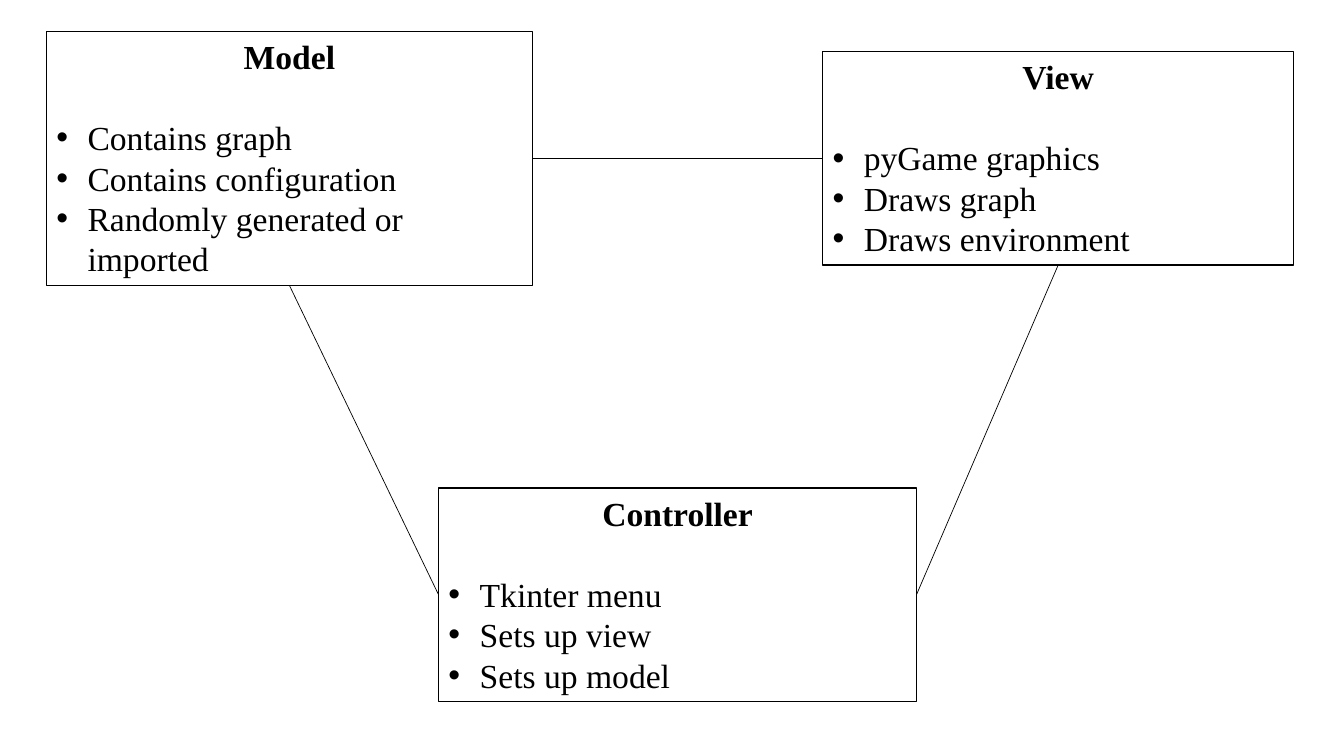
"""Draw the model, view and controller boxes and the lines that join them."""
from lxml.etree import SubElement
from pptx import Presentation
from pptx.dml.color import RGBColor
from pptx.enum.shapes import MSO_CONNECTOR as Link, MSO_SHAPE as Shape
from pptx.enum.text import MSO_ANCHOR as Anchor, PP_ALIGN as Align
from pptx.oxml.ns import qn
from pptx.util import Inches, Pt

BLACK = RGBColor(0, 0, 0)
FONT = {"name": "Times New Roman", "size": Pt(24)}
FRAME = {
    "word_wrap": True,
    "vertical_anchor": Anchor.TOP,
    "margin_left": Inches(0.1),
    "margin_right": Inches(0.1),
    "margin_top": Inches(0.05),
    "margin_bottom": Inches(0.05),
}
INDENT = Inches(0.31)
BOXES = [
    ("Model", (0.46, 0.31, 4.82, 2.52),
     ["Contains graph", "Contains configuration", "Randomly generated or imported"]),
    ("View", (8.16, 0.51, 4.67, 2.12),
     ["pyGame graphics", "Draws graph", "Draws environment"]),
    ("Controller", (4.35, 4.84, 4.74, 2.12),
     ["Tkinter menu", "Sets up view", "Sets up model"]),
]
TOP, LEFT, BOTTOM, RIGHT = range(4)
LINKS = [
    ("Model", RIGHT, "View", LEFT),
    ("Model", BOTTOM, "Controller", LEFT),
    ("Controller", RIGHT, "View", BOTTOM),
]


def style(font, bold):
    for key, value in FONT.items():
        setattr(font, key, value)
    font.bold = bold
    font.color.rgb = BLACK


deck = Presentation()
deck.slide_width = Inches(13.33)
deck.slide_height = Inches(7.5)
slide = deck.slides.add_slide(deck.slide_layouts[6])

boxes = {}
for title, place, items in BOXES:
    box = slide.shapes.add_shape(Shape.RECTANGLE, *map(Inches, place))
    boxes[title] = box
    box.shadow.inherit = False
    box.fill.background()
    box.line.color.rgb = BLACK
    box.line.width = Pt(1)

    frame = box.text_frame
    for key, value in FRAME.items():
        setattr(frame, key, value)
    head = frame.paragraphs[0]
    head.text = title
    head.alignment = Align.CENTER
    head.space_after = Pt(29)
    style(head.runs[0].font, True)

    for item in items:
        para = frame.add_paragraph()
        para.text = item
        para.alignment = Align.LEFT
        style(para.runs[0].font, False)
        props = para._p.get_or_add_pPr()
        props.set("marL", str(INDENT))
        props.set("indent", str(-INDENT))
        SubElement(props, qn("a:buFont")).set("typeface", "Arial")
        SubElement(props, qn("a:buChar")).set("char", "•")

for start, side, end, edge in LINKS:
    line = slide.shapes.add_connector(Link.STRAIGHT, 0, 0, 0, 0)
    line.begin_connect(boxes[start], side)
    line.end_connect(boxes[end], edge)
    line.line.color.rgb = BLACK
    line.line.width = Pt(0.5)
    SubElement(line._element.spPr, qn("a:effectLst"))

deck.save("out.pptx")
